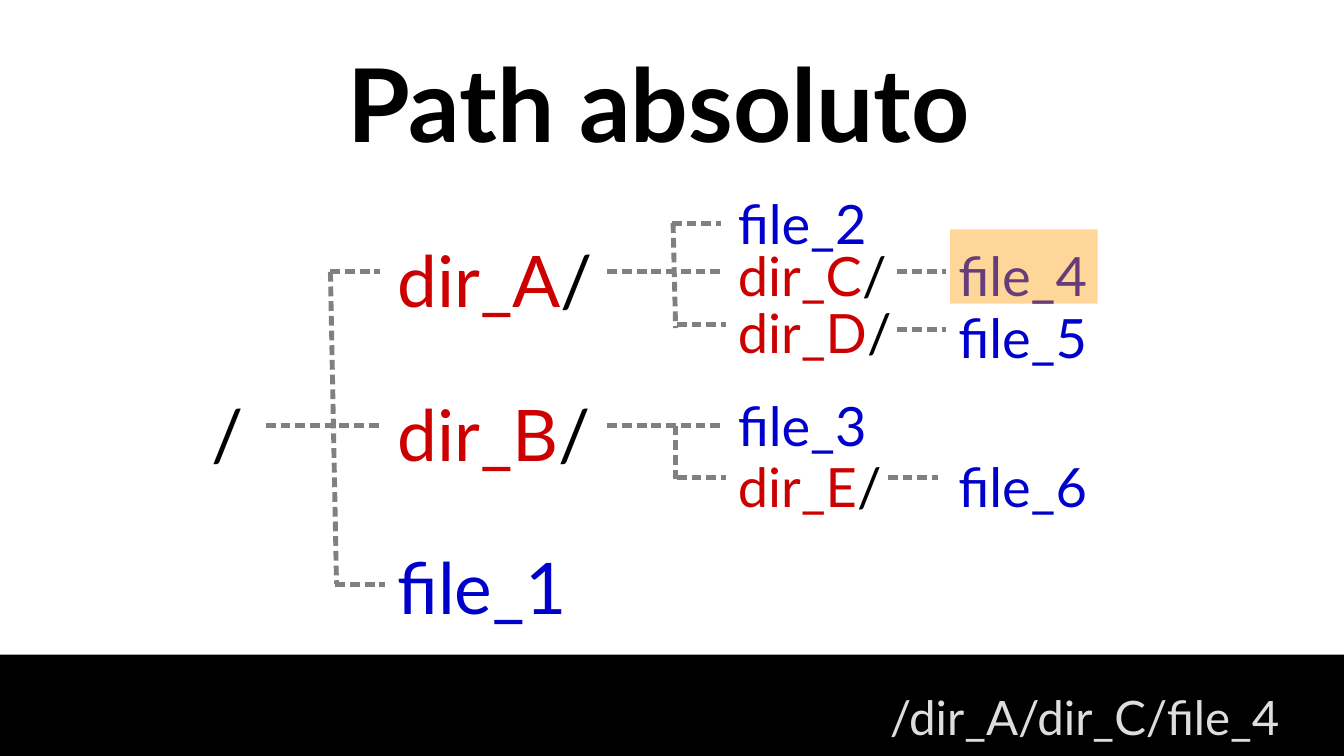
from dataclasses import dataclass

from lxml.etree import SubElement
from pptx import Presentation
from pptx.dml.color import RGBColor
from pptx.enum.shapes import MSO_CONNECTOR, MSO_SHAPE
from pptx.enum.text import MSO_AUTO_SIZE
from pptx.oxml.ns import qn
from pptx.util import Pt


@dataclass(frozen=True)
class Theme:
    font: str = "Lato"
    black: str = "000000"
    directory: str = "CC0000"
    file: str = "0000CC"
    branch: str = "808080"
    highlight: str = "FF9900"
    footer: str = "DDDDDD"
    title_size: int = 60
    main_size: int = 42
    nested_size: int = 32
    footer_size: int = 28
    branch_width: float = 2.89


THEME = Theme()

ROOT_X, MAIN_X, NESTED_X, LEAF_X = 117.5, 227.5, 428.5, 558.7
MAIN_TOPS = [136 + 90.75 * row for row in range(3)]
ROW_A, ROW_B, ROW_FILE_1 = 160.5, 251.3, 344.9
ROW_FILE_2, ROW_D, ROW_E = 131.8, 191.5, 282.2

MAIN_ENTRIES = ["dir_A/", "dir_B/", "file_1"]
NESTED_ENTRIES = [
    ("file_2", NESTED_X, 108.7),
    ("dir_C/", NESTED_X, 139.7),
    ("dir_D/", NESTED_X, 173.5),
    ("file_3", NESTED_X, 228.2),
    ("dir_E/", NESTED_X, 264.2),
    ("file_4", LEAF_X, 139.7),
    ("file_5", LEAF_X, 176.4),
    ("file_6", LEAF_X, 264.2),
]
HORIZONTAL_BRANCHES = [
    (195.1, ROW_A, 224.6),
    (157, ROW_B, 224.6),
    (198, ROW_FILE_1, 227.5),
    (396.7, ROW_FILE_2, 425.5),
    (358.6, ROW_A, 425.5),
    (399.6, ROW_D, 428.4),
    (358.6, ROW_B, 425.5),
    (399.6, ROW_E, 428.4),
    (529.9, ROW_A, 558.7),
    (529.9, 194.4, 558.7),
    (524.2, ROW_E, 553.7),
]
TRUNKS = [
    (195.1, ROW_A, 198.7, ROW_FILE_1),
    (397.4, ROW_FILE_2, 398.9, 193.7),
    (398.9, ROW_B, 398.9, 284.4),
]


def add_text(slide, text, *, left, top, width, height, size,
             color=THEME.black, bold=False):
    shape = slide.shapes.add_textbox(Pt(left), Pt(top), Pt(width), Pt(height))
    frame = shape.text_frame
    frame.word_wrap = True
    frame.auto_size = MSO_AUTO_SIZE.SHAPE_TO_FIT_TEXT
    name = text.removesuffix("/")
    pieces = [(name, color), (text[len(name):], THEME.black)]
    for piece, piece_color in pieces:
        if piece:
            run = frame.paragraphs[0].add_run()
            run.text = piece
            run.font.name = THEME.font
            run.font.size = Pt(size)
            run.font.bold = bold
            run.font.color.rgb = RGBColor.from_string(piece_color)


def add_entry(slide, text, left, top, width, height, size):
    color = THEME.directory if text.endswith("/") else THEME.file
    add_text(slide, text, left=left, top=top, width=width, height=height,
             size=size, color=color)


def add_branch(slide, start_x, start_y, end_x, end_y):
    connector = slide.shapes.add_connector(
        MSO_CONNECTOR.STRAIGHT, Pt(start_x), Pt(start_y), Pt(end_x), Pt(end_y))
    connector.line.width = Pt(THEME.branch_width)
    connector.line.color.rgb = RGBColor.from_string(THEME.branch)
    properties = connector._element.spPr
    dashes = SubElement(properties.find(qn("a:ln")), qn("a:custDash"))
    SubElement(dashes, qn("a:ds"), d="200000", sp="100000")
    SubElement(properties, qn("a:effectLst"))


def add_rectangle(slide, left, top, width, height, color, opacity=100):
    shape = slide.shapes.add_shape(
        MSO_SHAPE.RECTANGLE, Pt(left), Pt(top), Pt(width), Pt(height))
    shape.shadow.inherit = False
    shape.fill.solid()
    shape.fill.fore_color.rgb = RGBColor.from_string(color)
    shape.line.fill.background()
    if opacity < 100:
        fill_color = shape._element.spPr.find(qn("a:solidFill"))[0]
        SubElement(fill_color, qn("a:alpha"), val=str(opacity * 1000))


def add_tree(slide):
    add_text(slide, "/", left=ROOT_X, top=MAIN_TOPS[1], width=29.5,
             height=57.6, size=THEME.main_size)
    for start_x, y, end_x in HORIZONTAL_BRANCHES:
        add_branch(slide, start_x, y, end_x, y)
    for trunk in TRUNKS:
        add_branch(slide, *trunk)
    for text, top in zip(MAIN_ENTRIES, MAIN_TOPS):
        add_entry(slide, text, MAIN_X, top, 135.4, 57.6, THEME.main_size)
    for text, left, top in NESTED_ENTRIES:
        add_entry(slide, text, left, top, 117.4, 45.4, THEME.nested_size)


def main():
    presentation = Presentation()
    presentation.slide_width = Pt(793.5)
    presentation.slide_height = Pt(446.4)
    slide = presentation.slides.add_slide(presentation.slide_layouts[6])
    add_rectangle(slide, 0, 386.6, 793.5, 59.8, THEME.black)
    add_tree(slide)
    add_text(slide, "Path absoluto", left=198, top=20.9, width=397.4,
             height=79.2, size=THEME.title_size, bold=True)
    add_rectangle(slide, 560.9, 135.4, 87.1, 43.9, THEME.highlight, opacity=40)
    add_text(slide, "/dir_A/dir_C/file_4", left=518.4, top=402.5, width=252,
             height=41, size=THEME.footer_size, color=THEME.footer)
    presentation.save("out.pptx")


if __name__ == "__main__":
    main()
